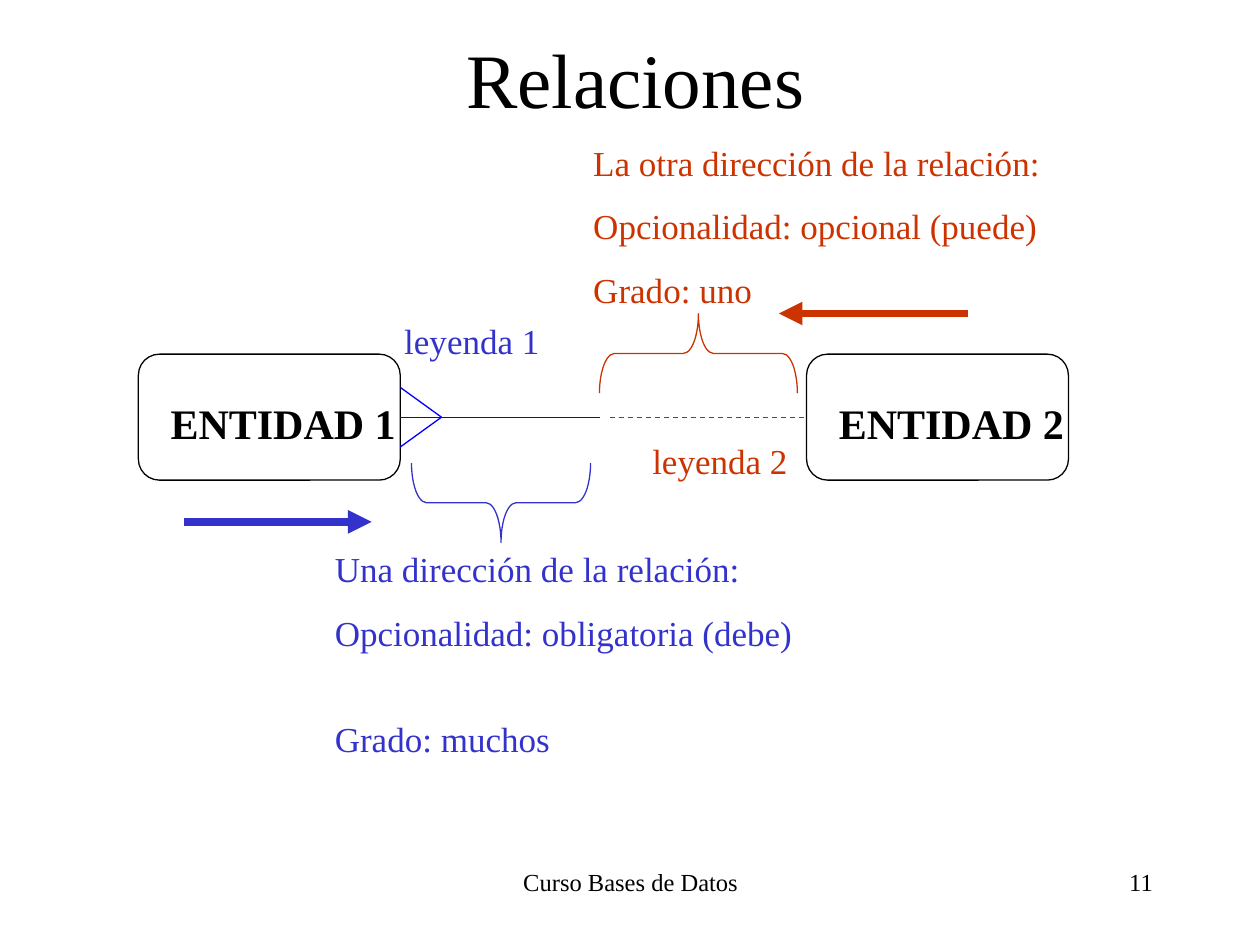
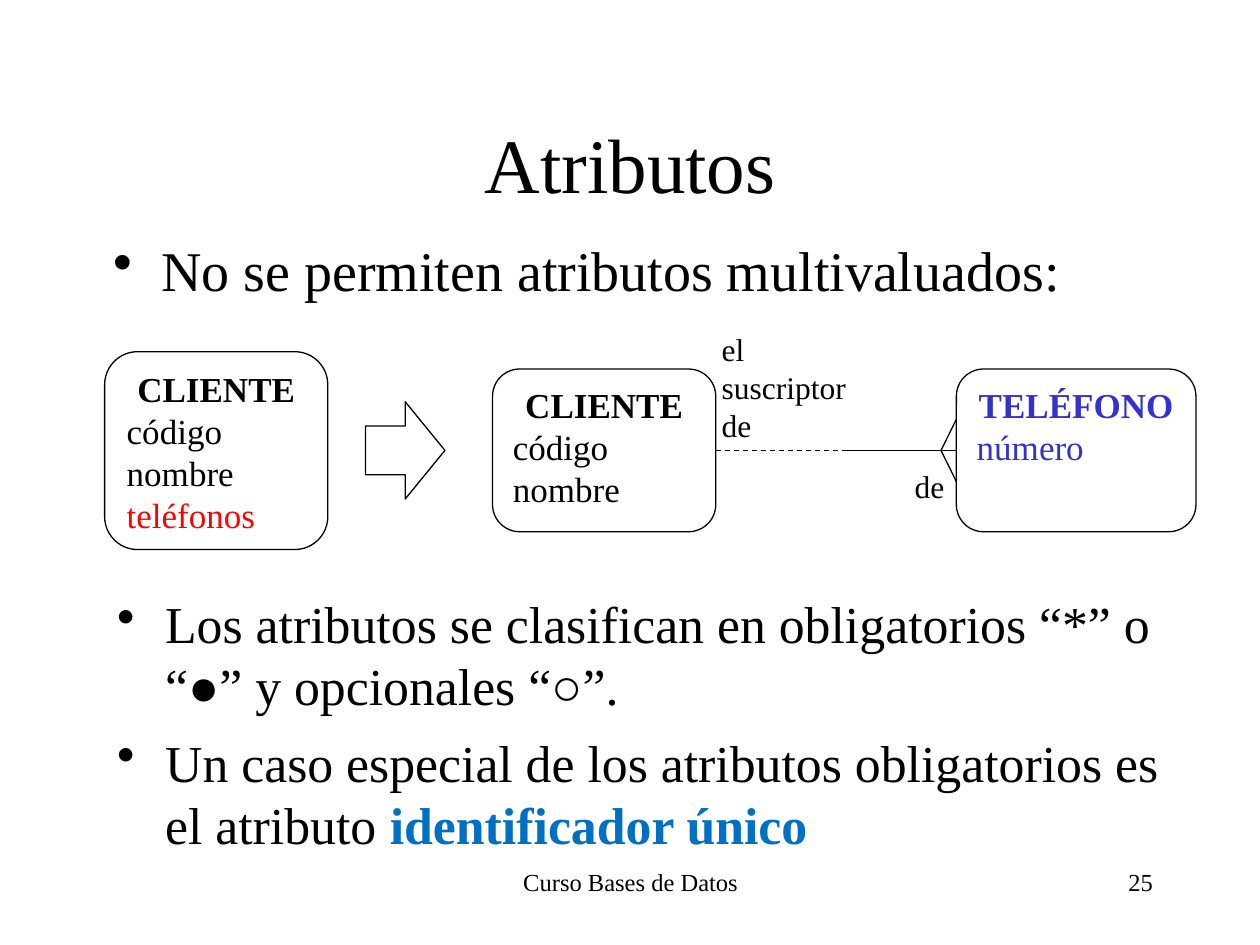
from lxml import etree
from pptx import Presentation
from pptx.dml.color import RGBColor
from pptx.enum import dml, shapes, text
from pptx.oxml.ns import qn
from pptx.util import Cm, Pt

# Shared style
FONT = "Times New Roman"
BLACK, BLUE, RUST, RED = "000000", "3333CC", "CC3300", "FF0000"
LINE_BLUE, ACCENT = "0000FF", "0070C0"
FOOTER = "Curso Bases de Datos"
FOOTER_BOX = (8.69, 17.35, 8.05, 1.27)
NUMBER_BOX = (18.21, 17.35, 5.28, 1.27)
CENTER, RIGHT = text.PP_ALIGN.CENTER, text.PP_ALIGN.RIGHT
INDENT = 0.97
CORNER = 0.167

# Content of "Relaciones": boxes are left, top, width, height in cm
ENTITIES = [("ENTIDAD 1", 2.79), ("ENTIDAD 2", 16.26)]
ENTITY_TOP, ENTITY_WIDTH, ENTITY_HEIGHT = 7.14, 5.28, 2.54
RELATION_NOTES = [
    (["La otra dirección de la relación:", "Opcionalidad: opcional (puede)",
      "Grado: uno"], (11.71, 2.72, 10.01, 3.68), RUST, (12.5, 12.5)),
    (["Una dirección de la relación:", "Opcionalidad: obligatoria (debe)",
      "Grado: muchos"], (6.5, 10.92, 9.8, 4.52), BLUE, (12.5, 36.5)),
    (["leyenda 1"], (7.9, 6.32, 4.01, 1.12), BLUE, ()),
    (["leyenda 2"], (12.9, 8.74, 4.01, 1.12), RUST, ()),
]
BRACES = [((9.3, 8.33, 1.6, 3.61), 90, BLUE),
          ((13.28, 5.13, 1.6, 3.99), 270, RUST)]
DIRECTIONS = [((19.51, 6.32), (15.7, 6.32), RUST),
              ((3.71, 10.52), (7.49, 10.52), BLUE)]

# Content of "Atributos"
CARDS = [
    ((2.11, 7.09, 4.5, 3.99), "CLIENTE", BLACK,
     [("código", BLACK), ("nombre", BLACK), ("teléfonos", RED)]),
    ((9.93, 7.44, 4.5, 3.28), "CLIENTE", BLACK,
     [("código", BLACK), ("nombre", BLACK)]),
    ((19.28, 7.44, 4.83, 3.28), "TELÉFONO", BLUE, [("número", BLUE)]),
]
ROLES = [("el suscriptor de", (14.3, 6.53, 3.2, 2.54)),
         ("de", (18.19, 9.3, 1.4, 1.02))]
RULE = "No se permiten atributos multivaluados:"
CLASSES = [
    "Los atributos se clasifican en obligatorios “*” o “●” y opcionales “○”.",
    [("Un caso especial de los atributos obligatorios es el atributo ", {}),
     ("identificador único", {"color": ACCENT, "bold": True})],
]


def rgb(value):
    return RGBColor.from_string(value)


def write(frame, content, size=20, color=BLACK, bold=False, align=None,
          before=(), bullet=False, anchor=text.MSO_ANCHOR.TOP, wrap=True):
    """Fill a frame; a paragraph is a string or a list of (text, format)."""
    frame.word_wrap = wrap
    frame.vertical_anchor = anchor
    for index, runs in enumerate(content):
        paragraph = frame.add_paragraph() if index else frame.paragraphs[0]
        if bullet:
            properties = paragraph._p.get_or_add_pPr()
            properties.set("marL", str(Cm(INDENT)))
            properties.set("indent", str(-Cm(INDENT)))
            etree.SubElement(properties, qn("a:buChar")).set("char", "•")
        if index and before:
            paragraph.space_before = Pt(before[index - 1])
        for words, style in [(runs, {})] if isinstance(runs, str) else runs:
            run = paragraph.add_run()
            run.text = words
            run.font.name, run.font.size = FONT, Pt(style.get("size", size))
            run.font.bold = style.get("bold", bold)
            run.font.color.rgb = rgb(style.get("color", color))
        paragraph.alignment = style.get("align", align) or text.PP_ALIGN.LEFT


def add_text(slide, content, box, **style):
    write(slide.shapes.add_textbox(*map(Cm, box)).text_frame, content, **style)


def add_outline(slide, kind, box, color=BLACK, adjustment=None):
    shape = slide.shapes.add_shape(kind, *map(Cm, box))
    shape.shadow.inherit = False
    shape.fill.background()
    shape.line.color.rgb, shape.line.width = rgb(color), Pt(0.75)
    if adjustment:
        shape.adjustments[0] = adjustment
    return shape


def add_line(slide, start, end, color=BLACK, width=0.75, dashed=False,
             arrow=False, begin=None, finish=None):
    line = slide.shapes.add_connector(shapes.MSO_CONNECTOR.STRAIGHT,
                                      *map(Cm, start + end))
    line.line.color.rgb, line.line.width = rgb(color), Pt(width)
    if dashed:
        line.line.dash_style = dml.MSO_LINE.DASH
    if arrow:
        tail = etree.SubElement(line.line._get_or_add_ln(), qn("a:tailEnd"))
        tail.set("type", "triangle")
    etree.SubElement(line._element.spPr, qn("a:effectLst"))
    if begin:
        line.begin_connect(begin, 3)
    if finish:
        line.end_connect(finish, 1)


def add_crow_foot(slide, apex, edge, y, spread, color=BLACK):
    for side in (-1, 1):
        add_line(slide, (apex, y), (edge, y + side * spread), color)


def new_slide(presentation, title, title_box, number):
    slide = presentation.slides.add_slide(presentation.slide_layouts[6])
    add_text(slide, [title], title_box, size=44, align=CENTER,
             anchor=text.MSO_ANCHOR.MIDDLE)
    add_text(slide, [FOOTER], FOOTER_BOX, size=14, align=CENTER)
    add_text(slide, [str(number)], NUMBER_BOX, size=14, align=RIGHT)
    return slide


def build_relations(presentation):
    slide = new_slide(presentation, "Relaciones", (2.11, 0.71, 21.41, 1.73), 11)

    # Entities
    entities = []
    for name, left in ENTITIES:
        entities.append(add_outline(
            slide, shapes.MSO_SHAPE.ROUNDED_RECTANGLE,
            (left, ENTITY_TOP, ENTITY_WIDTH, ENTITY_HEIGHT), adjustment=CORNER))
        add_text(slide, [name], (left + 0.4, ENTITY_TOP + 0.74, 5.05, 1.27),
                 size=24, bold=True, wrap=False)

    # Relation between them
    y = ENTITY_TOP + ENTITY_HEIGHT / 2
    edge = ENTITIES[0][1] + ENTITY_WIDTH
    add_line(slide, (edge, y), (12.09, y), LINE_BLUE, begin=entities[0])
    add_line(slide, (12.29, y), (ENTITIES[1][1], y), RED, dashed=True,
             finish=entities[1])
    add_crow_foot(slide, 8.9, edge, y, 0.6, LINE_BLUE)

    # Braces, notes and direction arrows
    for box, rotation, color in BRACES:
        brace = add_outline(slide, shapes.MSO_SHAPE.RIGHT_BRACE, box, color,
                            adjustment=0.19)
        brace.rotation = rotation
    for content, box, color, before in RELATION_NOTES:
        add_text(slide, content, box, color=color, before=before)
    for start, end, color in DIRECTIONS:
        add_line(slide, start, end, color, width=4.5, arrow=True)


def build_attributes(presentation):
    slide = new_slide(presentation, "Atributos", (1.91, 1.7, 21.59, 3.18), 25)
    add_text(slide, [RULE], (2.03, 4.62, 21.59, 2.44), size=32, bullet=True)

    # Entity cards and the arrow between before and after
    cards = []
    for box, name, color, attributes in CARDS:
        card = add_outline(slide, shapes.MSO_SHAPE.ROUNDED_RECTANGLE, box,
                           adjustment=CORNER)
        heading = [(name, {"bold": True, "color": color, "align": CENTER})]
        write(card.text_frame, [heading] + [
            [(attribute, {"color": tint})] for attribute, tint in attributes])
        cards.append(card)
    add_outline(slide, shapes.MSO_SHAPE.RIGHT_ARROW, (7.37, 8.1, 1.6, 1.96))

    # Relation between client and telephone
    left, top, width, height = CARDS[1][0]
    y, middle, edge = top + height / 2, 16.99, CARDS[2][0][0]
    add_line(slide, (left + width, y), (middle, y), dashed=True, begin=cards[1])
    add_line(slide, (middle, y), (edge, y), finish=cards[2])
    add_crow_foot(slide, 18.97, edge, y, 0.63)
    for role, box in ROLES:
        add_text(slide, [role], box, size=18)

    add_text(slide, CLASSES, (2.11, 11.81, 22.4, 5.74), size=29.6,
             before=(8,), bullet=True)


def main():
    presentation = Presentation()
    presentation.slide_width, presentation.slide_height = Cm(25.4), Cm(19.05)
    build_relations(presentation)
    build_attributes(presentation)
    presentation.save("out.pptx")


if __name__ == "__main__":
    main()
